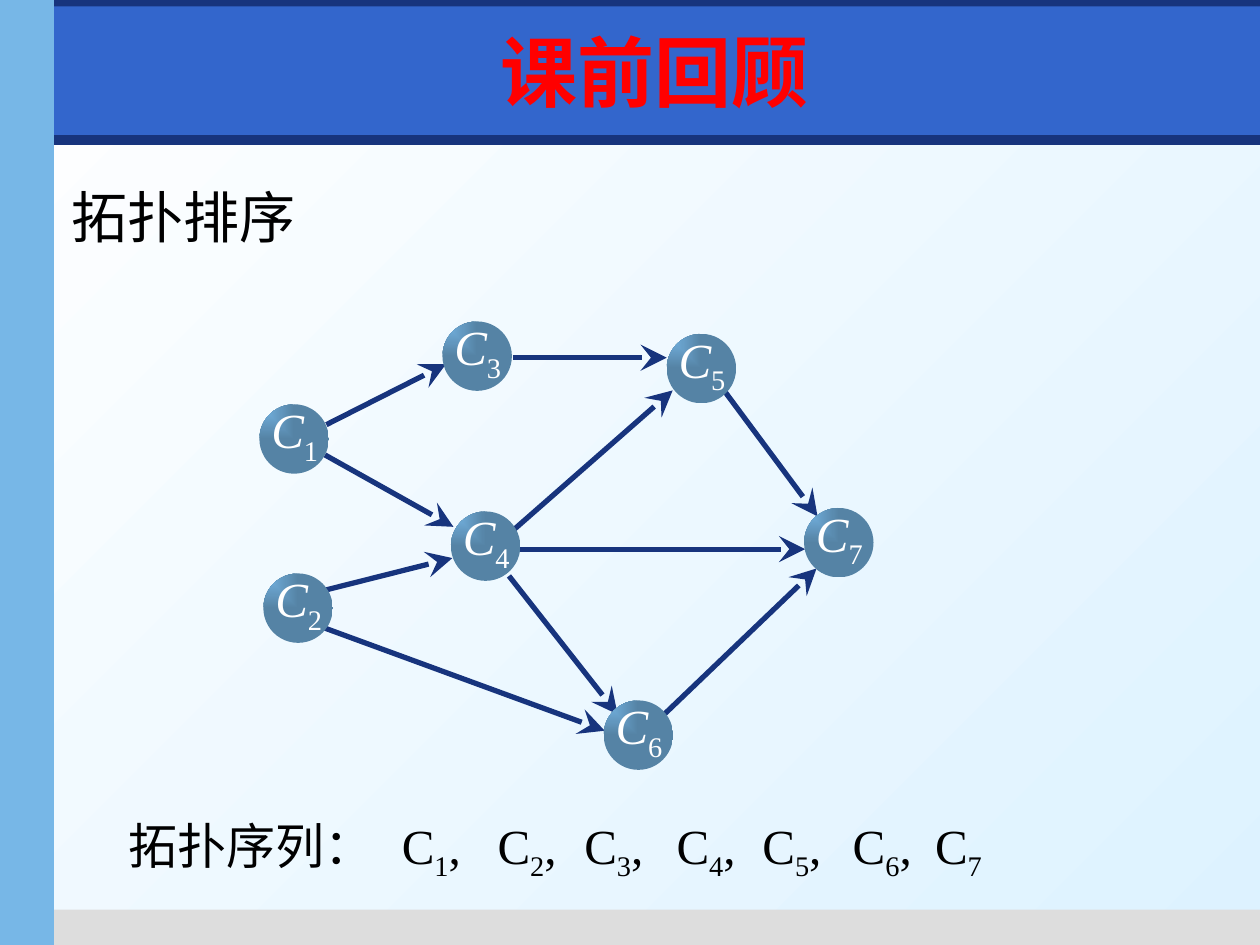
from lxml import etree
from pptx import Presentation
from pptx.dml.color import RGBColor
from pptx.enum.shapes import MSO_CONNECTOR, MSO_SHAPE
from pptx.enum.text import MSO_ANCHOR, MSO_AUTO_SIZE, PP_ALIGN
from pptx.oxml.ns import qn
from pptx.util import Cm, Pt

RECT, OVAL = MSO_SHAPE.RECTANGLE, MSO_SHAPE.OVAL
LINE = MSO_CONNECTOR.STRAIGHT
LEFT, CENTER = PP_ALIGN.LEFT, PP_ALIGN.CENTER
TOP, MIDDLE = MSO_ANCHOR.TOP, MSO_ANCHOR.MIDDLE
FIXED = MSO_AUTO_SIZE.NONE

SERIF, SANS = "Times New Roman", "DejaVu Sans"
NAVY, SKY, WHITE, BLACK = "17347D", "77B7E7", "FFFFFF", "000000"
BALL = 1.4

# Node number: top left corner of its ball, in cm from the graph's corner
NODES = {
    1: (0, 1.67), 2: (0.08, 5.08), 3: (3.69, 0), 4: (3.86, 3.83),
    5: (8.21, 0.25), 6: (6.94, 7.64), 7: (10.98, 3.76),
}
# Start and end of each arrow, in cm from the graph's corner
EDGES = [
    (1.35, 2.08, 3.76, 0.86),
    (1.32, 2.69, 3.91, 4.14),
    (1.15, 6.12, 6.96, 8.25),
    (1.35, 5.41, 3.89, 4.77),
    (5.11, 0.73, 8.21, 0.73),
    (5.08, 4.24, 8.33, 1.39),
    (5.03, 5.13, 7.22, 7.92),
    (5.16, 4.59, 11, 4.59),
    (8.16, 7.92, 11.23, 4.98),
    (9.35, 1.37, 11.25, 3.93),
]
# Left edge of each term, in cm from the row's left edge
TERMS = [5.51, 7.44, 9.19, 11.05, 12.78, 14.6, 16.26]


def color(code):
    return RGBColor.from_string(code)


def blend(fill, *codes):
    fill.gradient()
    for stop, code in zip(fill.gradient_stops, codes):
        stop.color.rgb = color(code)


def write(frame, text, sub="", end="", size=28, font=SERIF, ink=BLACK, bold=False,
          slant=False, align=LEFT, anchor=TOP, wrap=True, inset=None):
    """Fill a frame with text, a subscript and what follows it."""
    frame.word_wrap, frame.auto_size = wrap, FIXED
    frame.vertical_anchor = anchor
    if inset:
        (frame.margin_left, frame.margin_top,
         frame.margin_right, frame.margin_bottom) = map(Cm, inset)
    para = frame.paragraphs[0]
    para.alignment, para.space_before = align, Pt(0)
    for part, low in ((text, False), (sub, True), (end, False)):
        if not part:
            continue
        run = para.add_run()
        run.text = part
        run.font.name, run.font.size = font, Pt(size)
        run.font.bold, run.font.italic = bold, slant and not low
        run.font.color.rgb = color(ink)
        if low:
            run.font._element.set("baseline", "-25000")


def label(slide, box, text, **style):
    shape = slide.shapes.add_textbox(*map(Cm, box))
    write(shape.text_frame, text, **style)


def place(slide, shape, box):
    """Move a placeholder to a box, in front of all else so far."""
    shape.left, shape.top, shape.width, shape.height = map(Cm, box)
    slide.shapes._spTree.append(shape._element)


def solid(slide, kind, box):
    shape = slide.shapes.add_shape(kind, *map(Cm, box))
    shape.shadow.inherit = False
    shape.line.fill.background()
    return shape


def frame(slide, wide, high):
    """Draw the background and the bars round the slide."""
    fill = slide.background.fill
    blend(fill, WHITE, "DDF2FF")
    fill.gradient_angle = 315
    side = 1.09
    bars = [
        (side, 2.72, wide - side, 0.2, NAVY),
        (side, 18.34, wide - side, high - 18.34, "DDDDDD"),
        (0, 0, wide, 0.53, NAVY),
        (side, 0.13, wide - side, 2.59, "3366CC"),
        (0, 0, side, high, SKY),
    ]
    for *box, ink in bars:
        bar = solid(slide, RECT, box)
        bar.fill.solid()
        bar.fill.fore_color.rgb = color(ink)


def heads(slide):
    """Set the title and the topic line."""
    title, body = slide.placeholders
    place(slide, title, (1.5, 0.33, 23.39, 2.21))
    write(title.text_frame, "课前回顾", size=44, font=SANS, ink="FF0000",
          bold=True, align=CENTER, anchor=MIDDLE)
    place(slide, body, (1.19, 3.56, 16.54, 1.6))
    write(body.text_frame, "拓扑排序", size=32)
    props = body.text_frame.paragraphs[0]._p.get_or_add_pPr()
    props.set("marL", "0")
    props.set("indent", "0")
    etree.SubElement(props, qn("a:buNone"))


def arrow(slide, ends):
    line = slide.shapes.add_connector(LINE, *map(Cm, ends))
    line.line.width = Pt(3)
    line.line.color.rgb = color(NAVY)
    etree.SubElement(line.line._get_or_add_ln(), qn("a:tailEnd"),
                     type="stealth", w="lg", len="lg")
    etree.SubElement(line._element.spPr, qn("a:effectLst"))


def node(slide, x, y, num):
    ball = solid(slide, OVAL, (x, y, BALL, BALL))
    blend(ball.fill, SKY, "5583A5")
    grad = ball._element.spPr.find(qn("a:gradFill"))
    grad.remove(grad.find(qn("a:lin")))
    glow = etree.SubElement(grad, qn("a:path"))
    glow.set("path", "rect")
    etree.SubElement(glow, qn("a:fillToRect"), r="100000", b="100000")
    label(slide, (x + 0.19, y - 0.14, 1.3, 1.65), "C", sub=str(num), ink=WHITE,
          slant=True, inset=(0.05, 0.05, 0, 0.03))


def graph(slide, left, top):
    for x1, y1, x2, y2 in EDGES:
        arrow(slide, (left + x1, top + y1, left + x2, top + y2))
    for num, (x, y) in NODES.items():
        node(slide, left + x, top + y, num)


def order(slide, left, top):
    """Write the sequence of nodes in one row."""
    label(slide, (left, top, 6.1, 1.45), "拓扑序列：")
    for num, x in enumerate(TERMS, 1):
        end = "," if num < len(TERMS) else ""
        label(slide, (left + x, top, 2.06 if end else 1.8, 1.45), "C",
              sub=str(num), end=end, wrap=False)


def main():
    deck = Presentation()
    wide, high = 25.4, 19.05
    deck.slide_width, deck.slide_height = Cm(wide), Cm(high)
    slide = deck.slides.add_slide(deck.slide_layouts[1])
    frame(slide, wide, high)
    heads(slide)
    graph(slide, 5.23, 6.48)
    order(slide, 2.34, 16.32)
    deck.save("out.pptx")


if __name__ == "__main__":
    main()
